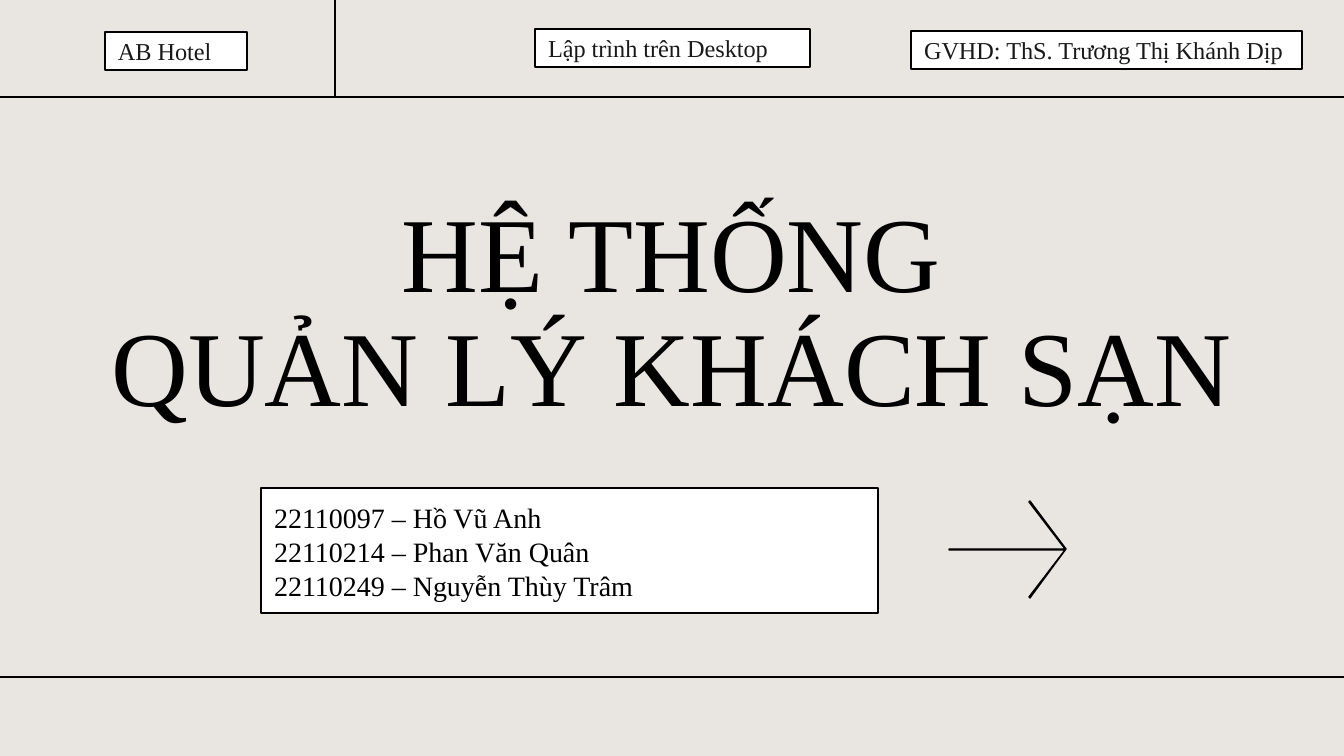
from lxml.etree import SubElement
from pptx import Presentation
from pptx.dml.color import RGBColor
from pptx.enum.shapes import MSO_CONNECTOR as Connector, MSO_SHAPE as Preset
from pptx.enum.text import MSO_ANCHOR as Anchor, PP_ALIGN as Align
from pptx.oxml.ns import qn
from pptx.util import Emu, Pt

SCALE = 914400 / 134.4
WIDTH, HEIGHT = 1344, 756
FONT = "Times New Roman"
COLORS = {"paper": "E9E6E2", "white": "FFFFFF", "ink": "000000", "label": "191919"}


def px(length):
    """Turn a length in px into EMU."""
    return Emu(round(length * SCALE))


def color(name):
    """Look up a named colour."""
    return RGBColor.from_string(COLORS[name])


def style_shape(shape, fill):
    """Give a shape a plain fill and a thin ink outline."""
    shape.shadow.inherit = False
    shape.fill.solid()
    shape.fill.fore_color.rgb = color(fill)
    shape.line.color.rgb = color("ink")
    shape.line.width = Pt(0.75)


def prepare_frame(shape, anchor):
    """Set wrapping, margins and anchor of a text frame."""
    frame = shape.text_frame
    frame.word_wrap = True
    frame.vertical_anchor = anchor
    frame.margin_left = frame.margin_right = px(13)
    frame.margin_top = frame.margin_bottom = px(13)
    return frame


def add_run(paragraph, text, size, ink):
    """Append one formatted run."""
    run = paragraph.add_run()
    run.text = text
    run.font.name = FONT
    run.font.size = Pt(size)
    run.font.color.rgb = color(ink)


def add_rule(slide, start, end):
    """Draw a thin straight rule."""
    rule = slide.shapes.add_connector(
        Connector.STRAIGHT, *(px(value) for value in (*start, *end)))
    rule.line.color.rgb = color("ink")
    rule.line.width = Pt(0.75)
    SubElement(rule._element.spPr, qn("a:effectLst"))


def add_panel(slide, box, lines, size, ink, anchor):
    """Draw an outlined white panel with left-aligned lines."""
    panel = slide.shapes.add_shape(Preset.RECTANGLE, *(px(value) for value in box))
    style_shape(panel, "white")
    frame = prepare_frame(panel, anchor)
    for index, line in enumerate(lines):
        paragraph = frame.add_paragraph() if index else frame.paragraphs[0]
        paragraph.alignment = Align.LEFT
        add_run(paragraph, line, size, ink)


def add_header(slide, box):
    """Place the header labels and the rules around them."""
    left, top, width, height = box
    labels = [
        (105, 32, 142, "AB Hotel"),
        (911, 31, 391, "GVHD: ThS. Trương Thị Khánh Dịp"),
        (535, 29, 275, "Lập trình trên Desktop"),
    ]
    for x, y, label_width, text in labels:
        add_panel(slide, (left + x, top + y, label_width, 38), [text], 13, "label",
                  Anchor.MIDDLE)
    add_rule(slide, (left, top + height), (left + width, top + height))
    add_rule(slide, (left + 335, top), (left + 335, top + height))


def add_title(slide, box, lines):
    """Place the centred title, one paragraph broken into lines."""
    title = slide.shapes.add_textbox(*(px(value) for value in box))
    paragraph = prepare_frame(title, Anchor.BOTTOM).paragraphs[0]
    paragraph.alignment = Align.CENTER
    paragraph.line_spacing = 0.9
    for index, line in enumerate(lines):
        if index:
            paragraph.add_line_break()
        add_run(paragraph, line, 57, "ink")


def add_arrow(slide, box):
    """Draw a thin open arrow pointing right."""
    left, top, width, height = box
    middle, barb = height // 2, width - 36
    points = [(barb, 0), (barb - 1, 1), (width - 1, middle), (0, middle),
              (0, middle + 1), (width - 1, middle + 1), (barb - 1, height - 1),
              (barb, height), (width, middle)]
    outline = [(left + x, top + y) for x, y in points]
    builder = slide.shapes.build_freeform(*outline[0], scale=SCALE)
    builder.add_line_segments(outline[1:], close=True)
    style_shape(builder.convert_to_shape(), "ink")


def build_cover(slide):
    """Compose the cover slide."""
    slide.background.fill.solid()
    slide.background.fill.fore_color.rgb = color("paper")
    add_title(slide, (66, 142, 1211, 301), ["HỆ THỐNG", "QUẢN LÝ KHÁCH SẠN"])
    members = ["22110097 – Hồ Vũ Anh", "22110214 – Phan Văn Quân",
               "22110249 – Nguyễn Thùy Trâm"]
    add_panel(slide, (261, 488, 617, 125), members, 15, "ink", Anchor.TOP)
    add_header(slide, (0, 0, WIDTH, 97))
    add_rule(slide, (0, 677), (WIDTH, 677))
    add_arrow(slide, (949, 501, 117, 97))


def main():
    """Build and save the presentation."""
    presentation = Presentation()
    presentation.slide_width, presentation.slide_height = px(WIDTH), px(HEIGHT)
    build_cover(presentation.slides.add_slide(presentation.slide_layouts[6]))
    presentation.save("out.pptx")


if __name__ == "__main__":
    main()
